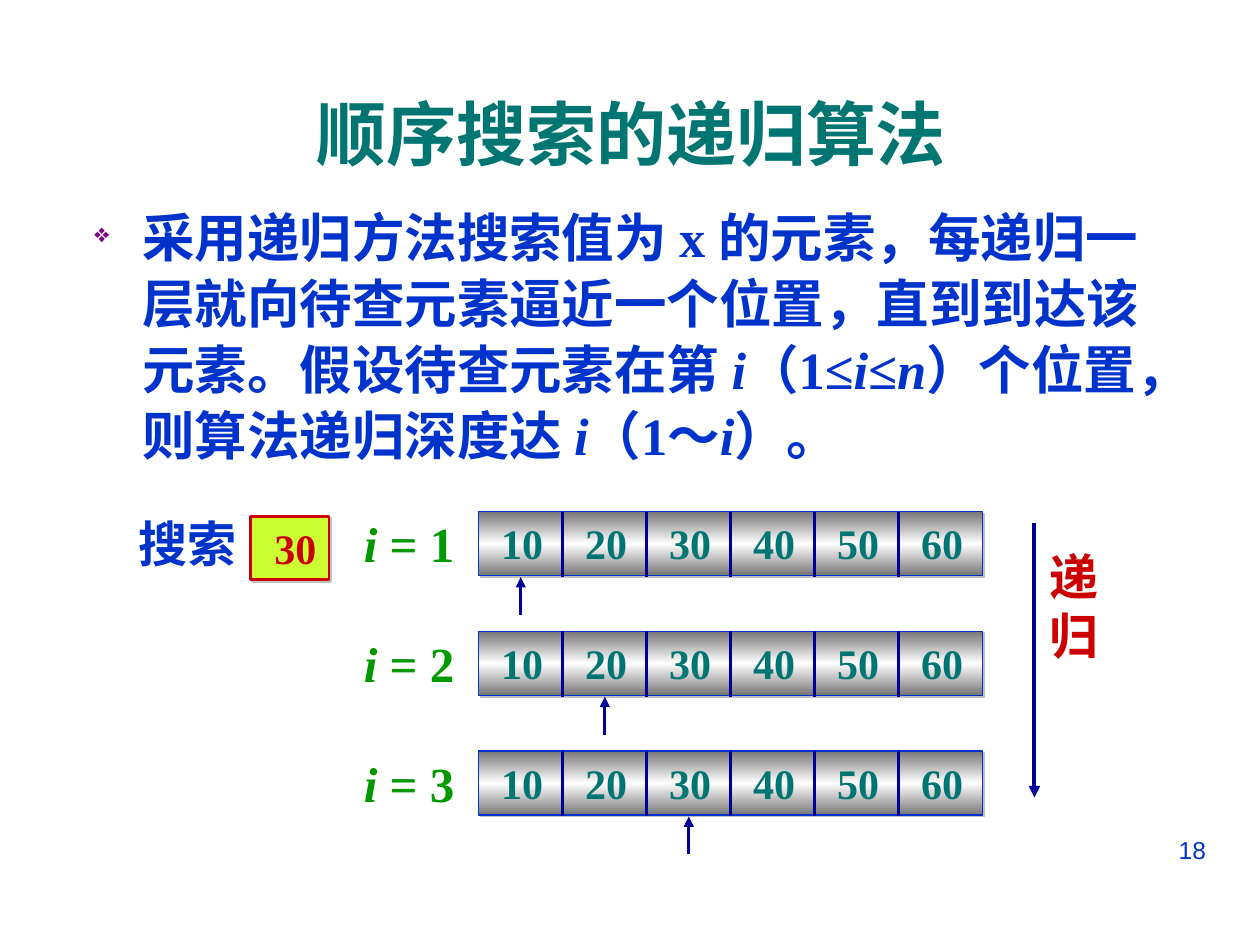
from lxml.etree import SubElement
from pptx import Presentation
from pptx.dml.color import RGBColor
from pptx.enum.shapes import MSO_CONNECTOR, MSO_SHAPE
from pptx.enum.text import MSO_ANCHOR, PP_ALIGN
from pptx.oxml.ns import qn
from pptx.util import Inches, Pt

SERIF = "Times New Roman"
BLUE, NAVY, TEAL, RED, GREEN = "0033CC", "000099", "007572", "CC0000", "009900"
VALUES = ["10", "20", "30", "40", "50", "60"]
ARRAY_LEFT, ARRAY_TOP = 3.8, 4.06
ARRAY_WIDTH, ARRAY_HEIGHT = 4, 0.51
CELL = ARRAY_WIDTH / len(VALUES)
ROW_STEP = 0.95


def color(value):
    return RGBColor.from_string(value)


def add_element(parent, tag, **attributes):
    return SubElement(parent, qn(tag), attributes)


def box(left, top, width, height):
    return [Inches(length) for length in (left, top, width, height)]


def format_run(run, size, hue, font=SERIF, bold=True, italic=False):
    run.font.size = Pt(size)
    run.font.name = font
    run.font.bold = bold
    run.font.italic = italic
    run.font.color.rgb = color(hue)


def add_text(slide, place, lines, size, hue, font=SERIF, bold=True, wrap=False):
    frame = slide.shapes.add_textbox(*box(*place)).text_frame
    frame.word_wrap = wrap
    frame.text = lines
    for paragraph in frame.paragraphs:
        for run in paragraph.runs:
            format_run(run, size, hue, font, bold)
    return frame.paragraphs[0]


def add_mixed_text(slide, place, pieces, size, hue):
    paragraph = add_text(slide, place, "", size, hue, wrap=True)
    for words, italic in pieces:
        run = paragraph.add_run()
        run.text = words
        format_run(run, size, hue, italic=italic)
    return paragraph


def add_bullet(paragraph):
    properties = paragraph._p.get_or_add_pPr()
    properties.set("marL", str(Inches(0.38)))
    properties.set("indent", str(Inches(-0.38)))
    add_element(add_element(properties, "a:buClr"), "a:srgbClr", val="800080")
    add_element(properties, "a:buSzPct", val="50000")
    add_element(properties, "a:buChar", char="❖")


def add_tab_stops(paragraph):
    stops = add_element(paragraph._p.get_or_add_pPr(), "a:tabLst")
    for column in range(1, len(VALUES)):
        add_element(stops, "a:tab", pos=str(Inches(column * CELL)), algn="l")


def add_panel(slide, place, outline, width):
    panel = slide.shapes.add_shape(MSO_SHAPE.RECTANGLE, *box(*place))
    panel.shadow.inherit = False
    panel.line.color.rgb = color(outline)
    panel.line.width = Pt(width)
    effects = panel._element.spPr.find(qn("a:effectLst"))
    shadow = add_element(effects, "a:outerShdw", dist=str(Pt(1.4)), dir="2700000", algn="ctr")
    add_element(shadow, "a:srgbClr", val="C0C0C0")
    return panel


def fill_metal(panel):
    panel.fill.solid()
    properties = panel._element.spPr
    solid = properties.find(qn("a:solidFill"))
    gradient = add_element(properties, "a:gradFill", rotWithShape="1")
    stops = add_element(gradient, "a:gsLst")
    for position, hue in (("0", "767676"), ("50000", "FFFFFF"), ("100000", "767676")):
        add_element(add_element(stops, "a:gs", pos=position), "a:srgbClr", val=hue)
    add_element(gradient, "a:lin", ang="5400000", scaled="1")
    properties.replace(solid, gradient)


def add_vertical_line(slide, x, start, end, width=1.5, arrow=False):
    line = slide.shapes.add_connector(MSO_CONNECTOR.STRAIGHT, *box(x, start, x, end))
    line.line.color.rgb = color(NAVY)
    line.line.width = Pt(width)
    if arrow:
        add_element(line.line._get_or_add_ln(), "a:tailEnd", type="triangle")
    add_element(line._element.spPr, "a:effectLst")


def add_title(slide):
    title = slide.shapes.title
    title.left, title.top, title.width, title.height = box(0.51, 0.48, 9, 1.14)
    title.text_frame.text = "顺序搜索的递归算法"
    title.text_frame.vertical_anchor = MSO_ANCHOR.MIDDLE
    heading = title.text_frame.paragraphs[0]
    heading.alignment = PP_ALIGN.CENTER
    format_run(heading.runs[0], 40, TEAL, "Arial")


def add_explanation(slide):
    pieces = [
        ("采用递归方法搜索值为 x 的元素，每递归一层就向待查元素逼近一个位置，"
         "直到到达该元素。假设待查元素在第 ", False),
        ("i", True), ("（1≤", False), ("i", True), ("≤", False), ("n", True),
        ("）个位置，则算法递归深度达 ", False),
        ("i", True), ("（1～", False), ("i", True), ("）。", False),
    ]
    explanation = add_mixed_text(slide, (0.65, 1.55, 8.76, 2.32), pieces, 30, BLUE)
    explanation.line_spacing = 1.05
    add_bullet(explanation)


def add_search_target(slide):
    add_text(slide, (1, 4.03, 0.98, 0.57), "搜索", 28, BLUE)
    target = add_panel(slide, (1.99, 4.1, 0.62, 0.5), RED, 1.5)
    target.fill.solid()
    target.fill.fore_color.rgb = color("CCFF33")
    frame = target.text_frame
    frame.text = "30"
    frame.word_wrap = False
    frame.paragraphs[0].alignment = PP_ALIGN.RIGHT
    format_run(frame.paragraphs[0].runs[0], 24, RED)


def add_array(slide, step):
    top = ARRAY_TOP + (step - 1) * ROW_STEP
    fill_metal(add_panel(slide, (ARRAY_LEFT, top, ARRAY_WIDTH, ARRAY_HEIGHT), BLUE, 0.75))
    numbers = add_text(slide, (ARRAY_LEFT + 0.08, top, ARRAY_WIDTH, 0.5),
                       "\t".join(VALUES), 24, TEAL, wrap=True)
    add_tab_stops(numbers)
    for column in range(1, len(VALUES)):
        add_vertical_line(slide, ARRAY_LEFT + column * CELL, top, top + 0.52)
    pointer = ARRAY_LEFT + (step - 0.5) * CELL
    add_vertical_line(slide, pointer, top + 0.82, top + 0.52, arrow=True)
    add_mixed_text(slide, (2.79, top - 0.03, 1, 0.57),
                   [("i", True), (f" = {step}", False)], 28, GREEN)


def main():
    presentation = Presentation()
    presentation.slide_width, presentation.slide_height = Inches(10), Inches(7.5)
    slide = presentation.slides.add_slide(presentation.slide_layouts[5])
    add_title(slide)
    add_explanation(slide)
    add_search_target(slide)
    for step in (1, 2, 3):
        add_array(slide, step)
    add_vertical_line(slide, 8.21, 4.15, 6.33, width=2.25, arrow=True)
    add_text(slide, (8.23, 4.29, 0.59, 1.04), "递\n归", 28, RED)
    page = add_text(slide, (7.17, 6.58, 2.5, 0.52), "18", 14, BLUE, "Arial", False, True)
    page.alignment = PP_ALIGN.RIGHT
    presentation.save("out.pptx")


if __name__ == "__main__":
    main()
